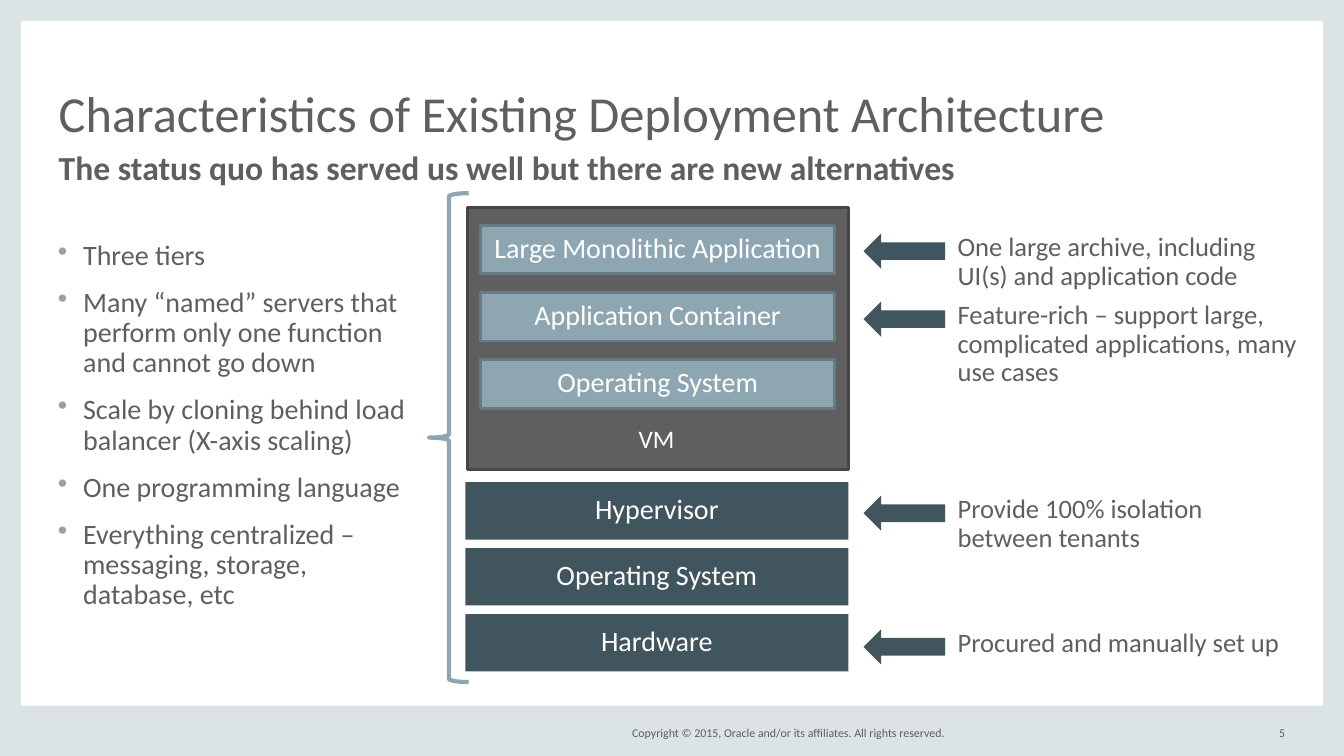
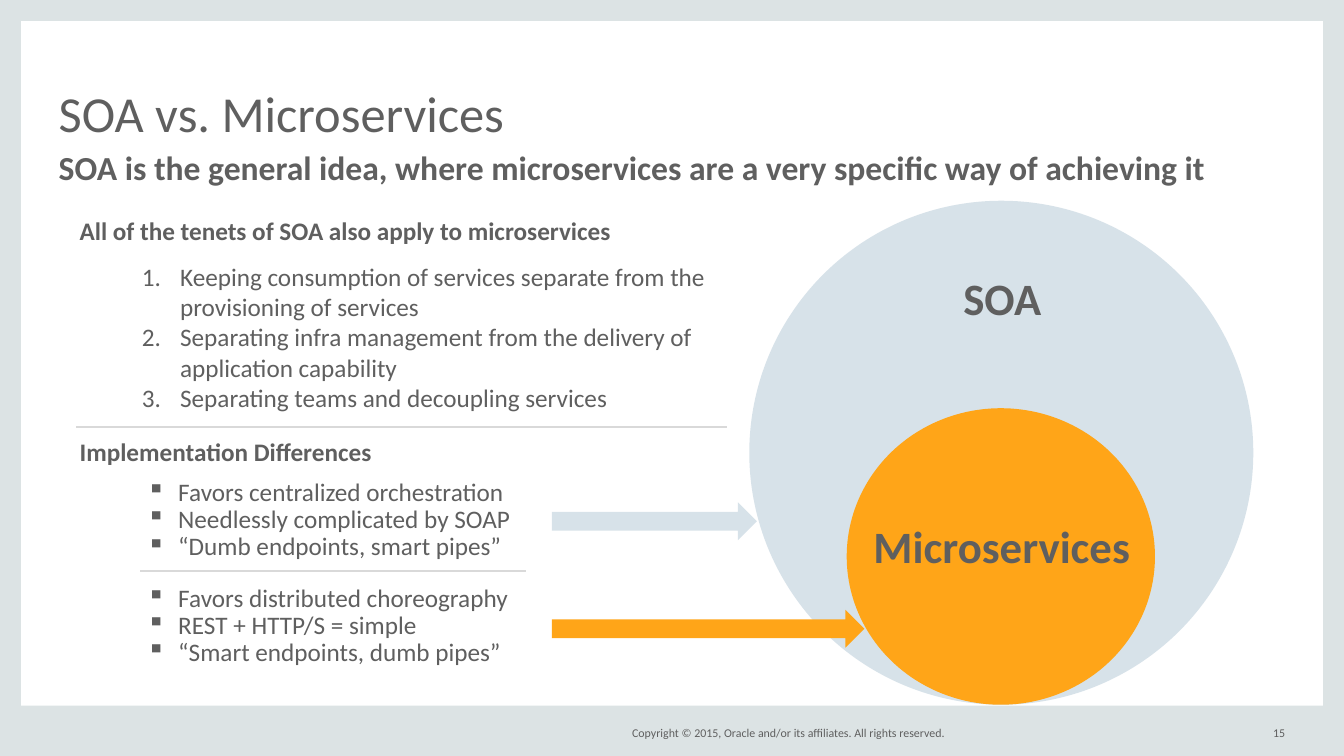
import pptx
import pptx.dml.color
import pptx.enum.shapes
import pptx.enum.text
import pptx.oxml.ns
import pptx.util
from lxml import etree

RGBColor = pptx.dml.color.RGBColor
SHAPE = pptx.enum.shapes.MSO_SHAPE
ALIGN = pptx.enum.text.PP_ALIGN
ANCHOR = pptx.enum.text.MSO_ANCHOR
Pt = pptx.util.Pt
qn = pptx.oxml.ns.qn

FRAME = RGBColor(0xDC, 0xE3, 0xE4)
GRAY = RGBColor(0x5F, 0x5F, 0x5F)
DARK_GRAY = RGBColor(0x46, 0x46, 0x46)
BULLET_GRAY = RGBColor(0x9F, 0x9F, 0x9F)
RULE_GRAY = RGBColor(0xD9, 0xD9, 0xD9)
SLATE = RGBColor(0x41, 0x55, 0x5E)
STEEL = RGBColor(0x8D, 0xA6, 0xB1)
DARK_STEEL = RGBColor(0x68, 0x7B, 0x83)
BLUE = RGBColor(0x53, 0x82, 0xA1)
ORANGE = RGBColor(0xFF, 0xA5, 0x18)
WHITE = RGBColor(0xFF, 0xFF, 0xFF)

presentation = pptx.Presentation()
presentation.slide_width = pptx.util.Inches(13.33)
presentation.slide_height = pptx.util.Inches(7.5)
COLUMNS, ROWS = 160, 90
COLUMN = presentation.slide_width / COLUMNS
ROW = presentation.slide_height / ROWS

FLUSH = dict.fromkeys(("margin_left", "margin_top", "margin_right", "margin_bottom"), 0)
FLUSH["word_wrap"] = True
MIDDLE = {"vertical_anchor": ANCHOR.MIDDLE, "word_wrap": True}
FREE = {"word_wrap": False}
TIGHT = {"line_spacing": 0.9}
CENTERED = {"line_spacing": 0.9, "alignment": ALIGN.CENTER}


def place(slide, kind, box, fill=None, line=None, points=2, opacity=100):
    """Put a shape, or a text box if kind is None, at a box of columns and rows."""
    left, top, width, height = box
    lengths = [round(n) for n in (left * COLUMN, top * ROW, width * COLUMN, height * ROW)]
    if kind is None:
        return slide.shapes.add_textbox(*lengths)
    shape = slide.shapes.add_shape(kind, *lengths)
    shape.shadow.inherit = False
    if fill is None:
        shape.fill.background()
    else:
        shape.fill.solid()
        shape.fill.fore_color.rgb = fill
    if opacity < 100:
        color = shape.element.spPr.find(".//" + qn("a:srgbClr"))
        etree.SubElement(color, qn("a:alpha"), val=str(opacity * 1000))
    if line is None:
        shape.line.fill.background()
    else:
        shape.line.color.rgb = line
        shape.line.width = Pt(points)
    return shape


def write(shape, lines, size, frame, layout, color=GRAY, bold=False, gap=0, bullet=None):
    """Fill a shape with paragraphs; bullet is (mark, margin, hang, color), mark None numbers them."""
    text_frame = shape.text_frame
    for name, value in frame.items():
        setattr(text_frame, name, value)
    for index, line in enumerate(lines):
        paragraph = text_frame.add_paragraph() if index else text_frame.paragraphs[0]
        if bullet:
            mark, margin, hang, mark_color = bullet
            properties = paragraph._p.get_or_add_pPr()
            properties.set("marL", str(pptx.util.Inches(margin)))
            properties.set("indent", str(-pptx.util.Inches(hang)))
            bullet_color = etree.SubElement(properties, qn("a:buClr"))
            etree.SubElement(bullet_color, qn("a:srgbClr"), val=str(mark_color))
            if mark:
                etree.SubElement(properties, qn("a:buChar"), char=mark)
            else:
                etree.SubElement(properties, qn("a:buAutoNum"), type="arabicPeriod")
        for name, value in layout.items():
            setattr(paragraph, name, value)
        if index and gap:
            paragraph.space_before = Pt(gap)
        run = paragraph.add_run()
        run.text = line
        values = {"name": "Calibri", "size": Pt(size), "bold": bold}
        for name, value in values.items():
            setattr(run.font, name, value)
        run.font.color.rgb = color


# Frame, titles and footer of both slides
slides = []
for title, subtitle, number in (
    ("Characteristics of Existing Deployment Architecture",
     "The status quo has served us well but there are new alternatives", "5"),
    ("SOA vs. Microservices",
     "SOA is the general idea, where microservices are a very specific way of achieving it", "15"),
):
    slide = presentation.slides.add_slide(presentation.slide_layouts[6])
    slides.append(slide)
    for band in ((0, 0, 2.5, ROWS), (COLUMNS - 2.5, 0, 2.5, ROWS),
                 (0, 84, COLUMNS, 6), (0, 0, COLUMNS, 2.5)):
        place(slide, SHAPE.RECTANGLE, band, FRAME)
    for footer, left, width in (
        ("Copyright © 2015, Oracle and/or its affiliates. All rights reserved.", 70.5, 42),
        (number, 148, 5),
    ):
        write(place(slide, None, (left, 86, width, 2.4)), [footer], 8.5,
              FLUSH | MIDDLE, {"alignment": ALIGN.RIGHT})
    write(place(slide, None, (7, 5.3, 146, 11.6)), [title], 36,
          FLUSH | {"vertical_anchor": ANCHOR.BOTTOM}, {"line_spacing": 0.8})
    write(place(slide, None, (7, 18, 146, 4.6)), [subtitle], 24, FLUSH, TIGHT, bold=True)

architecture, comparison = slides

# Deployment stack
for index, layer in enumerate(("Hypervisor", "Operating System", "Hardware")):
    box = (55.4, 57.4 + 7.85 * index, 45.6, 6.84)
    write(place(architecture, SHAPE.RECTANGLE, box, SLATE), [layer], 20, MIDDLE, CENTERED, WHITE)
place(architecture, SHAPE.RECTANGLE, (55.7, 24.7, 45.3, 31.2), GRAY, DARK_GRAY)
for index, layer in enumerate(
    ("Large Monolithic Application", "Application Container", "Operating System")
):
    box = (57.2, 26.8 + 8 * index, 42.2, 5.8)
    write(place(architecture, SHAPE.RECTANGLE, box, STEEL, DARK_STEEL), [layer], 20,
          MIDDLE, CENTERED, WHITE)
write(place(architecture, None, (74.8, 50.2, 6.7, 4.6)), ["VM"], 18, FREE, CENTERED, WHITE)
place(architecture, SHAPE.LEFT_BRACE, (51.1, 23, 4.7, 58.2), line=STEEL, points=3)

characteristics = [
    "Three tiers",
    "Many “named” servers that perform only one function and cannot go down",
    "Scale by cloning behind load balancer (X-axis scaling)",
    "One programming language",
    "Everything centralized – messaging, storage, database, etc",
]
write(place(architecture, None, (6.9, 28.7, 42.5, 48.4)), characteristics, 20, FLUSH, TIGHT,
      gap=12, bullet=("•", 0.25, 0.25, BULLET_GRAY))

for top, width, callout in (
    (27.8, 40.5, "One large archive, including UI(s) and application code"),
    (35.9, 40.7, "Feature-rich – support large, complicated applications, many use cases"),
    (59, 39.1, "Provide 100% isolation between tenants"),
    (74.9, 42.8, "Procured and manually set up"),
):
    place(architecture, SHAPE.LEFT_ARROW, (102.8, top, 9.7, 4.2), SLATE)
    write(place(architecture, None, (114, top, width, 7)), [callout], 19, FLUSH, TIGHT)

# Nested circles and the arrows to them
place(comparison, SHAPE.OVAL, (89.2, 23.9, 60, 60), BLUE, opacity=23)
place(comparison, SHAPE.OVAL, (100.8, 48.6, 36.7, 35.3), ORANGE)
place(comparison, SHAPE.RIGHT_ARROW, (65.7, 59.8, 24.4, 4.5), BLUE, opacity=23)
place(comparison, SHAPE.RIGHT_ARROW, (65.7, 72.6, 37.2, 4.5), ORANGE)

for label, size, box in (
    ("SOA", 32, (113.5, 31.6, 11.9, 7.7)),
    ("Microservices", 32, (102.8, 61.2, 33.3, 7.7)),
    ("All of the tenets of SOA also apply to microservices", 18, (8.3, 25.1, 66.5, 4.8)),
    ("Implementation Differences", 18, (8.3, 51.4, 37.7, 4.8)),
):
    write(place(comparison, None, box), [label], size, FREE, {}, bold=True)

tenets = [
    "Keeping consumption of services separate from the provisioning of services",
    "Separating infra management from the delivery of application capability",
    "Separating teams and decoupling services",
]
write(place(comparison, None, (9.7, 30.5, 80, 19.4)), tenets, 18, {"word_wrap": True}, {},
      bullet=(None, 0.88, 0.38, GRAY))

for top, differences in (
    (57.1, ["Favors centralized orchestration", "Needlessly complicated by SOAP",
            "“Dumb endpoints, smart pipes”"]),
    (69.7, ["Favors distributed choreography", "REST + HTTP/S = simple",
            "“Smart endpoints, dumb pipes”"]),
):
    write(place(comparison, None, (17.5, top, 67.6, 9.8)), differences, 18, FLUSH, TIGHT,
          bullet=("▪", 0.31, 0.31, GRAY))

for start, end, row in ((9.1, 86.6, 50.8), (16.7, 62.6, 68)):
    rule = comparison.shapes.add_connector(
        pptx.enum.shapes.MSO_CONNECTOR.STRAIGHT,
        round(start * COLUMN), round(row * ROW), round(end * COLUMN), round(row * ROW))
    rule.line.color.rgb = RULE_GRAY
    rule.line.width = Pt(1.5)
    etree.SubElement(rule.element.spPr, qn("a:effectLst"))

presentation.save("out.pptx")
